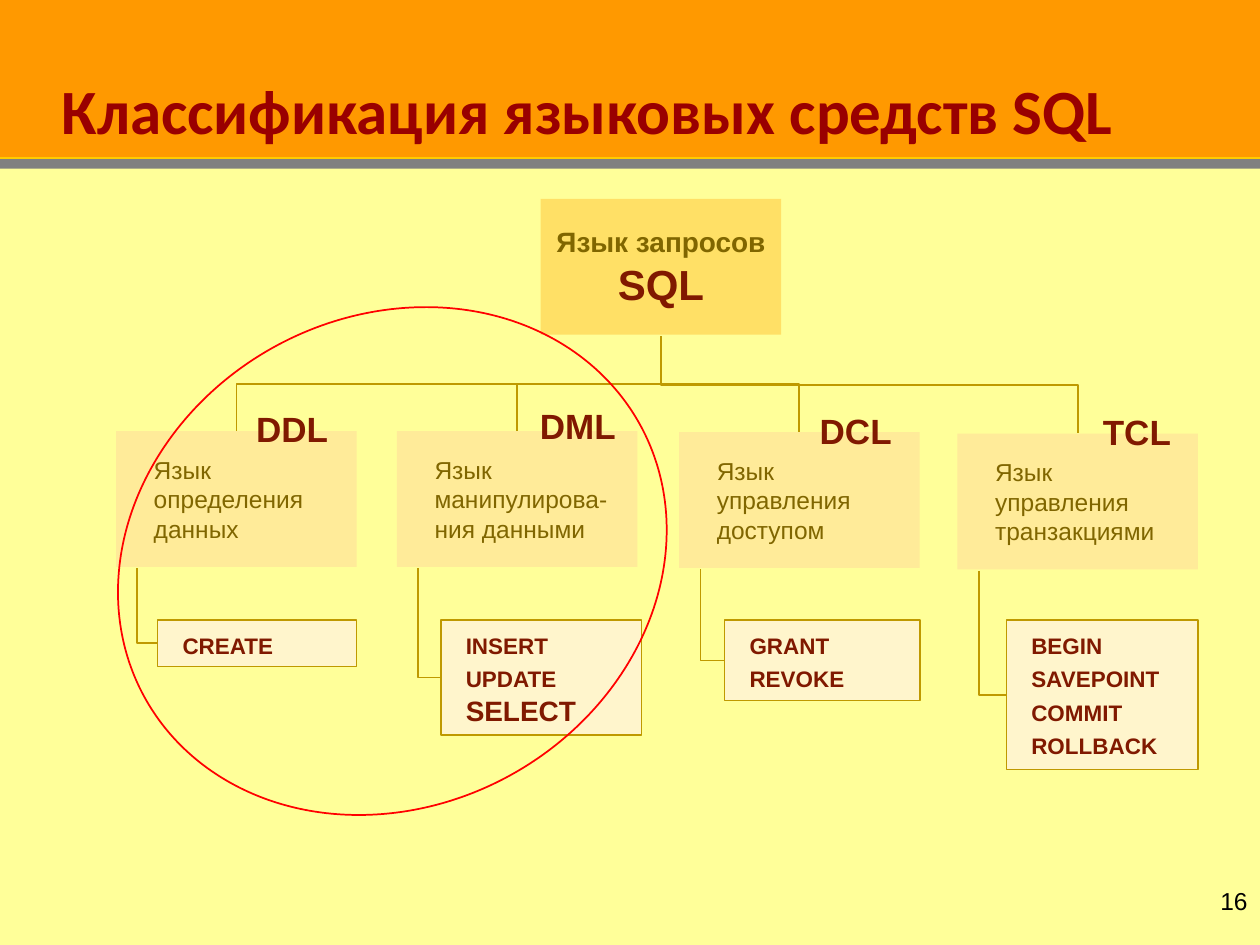
from dataclasses import dataclass

import pptx
import pptx.dml.color
import pptx.enum.shapes
import pptx.enum.text
import pptx.oxml.ns
import pptx.util

Cm = pptx.util.Cm
Pt = pptx.util.Pt
Shapes = pptx.enum.shapes.MSO_SHAPE
Anchor = pptx.enum.text.MSO_ANCHOR
Align = pptx.enum.text.PP_ALIGN
AutoSize = pptx.enum.text.MSO_AUTO_SIZE


@dataclass(frozen=True)
class Theme:
    header: str = "FF9900"
    background: str = "FFFF99"
    shadow_bar: str = "808080"
    header_edge: str = "FFCC00"
    title: str = "990000"
    root: str = "FFE066"
    branch: str = "FFEB99"
    command: str = "FFF5CC"
    line: str = "BF9900"
    highlight: str = "FF0000"
    text: str = "806600"
    strong: str = "801900"
    number: str = "000000"
    font: str = "Arial"
    title_font: str = "Calibri"
    title_size: int = 36
    root_size: int = 24
    label_size: int = 20
    command_size: int = 16
    body_size: int = 14


@dataclass(frozen=True)
class Branch:
    left: float
    top: float
    description: str
    label: str
    label_left: float
    label_top: float
    label_width: float
    command_left: float
    command_width: float
    commands: tuple


THEME = Theme()
PAGE_WIDTH, PAGE_HEIGHT = 25.4, 19.05
BOX_WIDTH, BOX_HEIGHT = 4.85, 2.74
ROOT_LEFT, ROOT_TOP = 10.9, 4.01
COMMAND_TOP, COMMAND_LINE, COMMAND_PADDING = 12.5, 0.69, 0.25

BRANCHES = (
    Branch(2.34, 8.69, "Язык определения данных", "DDL", 4.9, 8.1, 1.98,
           3.18, 4.01, ("create",)),
    Branch(8.0, 8.69, "Язык манипулирова-ния данными", "DML", 10.62, 8.03, 2.06,
           8.89, 4.04, ("insert", "update", "SELECT")),
    Branch(13.69, 8.71, "Язык \vуправления доступом", "DCL", 16.26, 8.13, 1.98,
           14.61, 3.94, ("grant", "revoke")),
    Branch(19.3, 8.74, "Язык \vуправления транзакциями", "TCL", 21.97, 8.15, 1.9,
           20.29, 3.86, ("begin", "savepoint", "commit", "rollback")),
)


def rgb(color):
    return pptx.dml.color.RGBColor.from_string(color)


def style_span(span, size, color, bold=False, font=THEME.font):
    span.font.name = font
    span.font.size = Pt(size)
    span.font.bold = bold
    span.font.color.rgb = rgb(color)


def style_text(box, size, color, bold=False, font=THEME.font,
               align=Align.LEFT, margin=0, indent=0):
    for para in box.text_frame.paragraphs:
        para.alignment = align
        properties = para._p.get_or_add_pPr()
        properties.set("marL", str(Cm(margin)))
        properties.set("indent", str(Cm(indent)))
        for span in para.runs:
            style_span(span, size, color, bold, font)


def add_box(page, left, top, width, height, fill=None, line=None,
            weight=0.75, kind=Shapes.RECTANGLE):
    box = page.shapes.add_shape(kind, Cm(left), Cm(top), Cm(width), Cm(height))
    box.shadow.inherit = False
    if fill:
        box.fill.solid()
        box.fill.fore_color.rgb = rgb(fill)
    else:
        box.fill.background()
    if line:
        box.line.color.rgb = rgb(line)
        box.line.width = Pt(weight)
    else:
        box.line.fill.background()
    return box


def add_line(page, kind, start_x, start_y, end_x, end_y, color):
    line = page.shapes.add_connector(
        kind, Cm(start_x), Cm(start_y), Cm(end_x), Cm(end_y))
    line.line.color.rgb = rgb(color)
    line.line.width = Pt(1)
    properties = line._element.spPr
    properties.append(properties.makeelement(pptx.oxml.ns.qn("a:effectLst"), {}))
    return line


def add_elbow(page, start_x, start_y, end_x, end_y, preset):
    half_x, half_y = abs(end_x - start_x) / 2, (end_y - start_y) / 2
    center_x, center_y = (start_x + end_x) / 2, (start_y + end_y) / 2
    side, degrees = (1, 270) if end_x > start_x else (-1, 90)
    line = add_line(page, pptx.enum.shapes.MSO_CONNECTOR.ELBOW,
                    center_x + side * half_y, center_y - half_x,
                    center_x - side * half_y, center_y + half_x, THEME.line)
    properties = line._element.spPr
    properties.find(pptx.oxml.ns.qn("a:xfrm")).set("rot", str(degrees * 60000))
    properties.find(pptx.oxml.ns.qn("a:prstGeom")).set("prst", preset)


def add_label(page, text, left, top, width, height, size, color, bold, align, wrap):
    box = page.shapes.add_textbox(Cm(left), Cm(top), Cm(width), Cm(height))
    box.text_frame.text = text
    box.text_frame.word_wrap = wrap
    style_text(box, size, color, bold, align=align)


def add_header(page):
    add_box(page, 0, 0, PAGE_WIDTH, 3.18, THEME.header)
    add_box(page, 0, 3.18, PAGE_WIDTH, PAGE_HEIGHT - 3.18, THEME.background)
    add_box(page, 0, 3.2, PAGE_WIDTH, 0.2, THEME.shadow_bar)
    add_line(page, pptx.enum.shapes.MSO_CONNECTOR.STRAIGHT,
             0, 3.18, PAGE_WIDTH, 3.18, THEME.header_edge)
    title = page.shapes.title
    page.shapes.element.append(title.element)
    title.left, title.top = Cm(0), Cm(0.15)
    title.width, title.height = Cm(PAGE_WIDTH), Cm(2.97)
    title.fill.solid()
    title.fill.fore_color.rgb = rgb(THEME.header)
    title.text_frame.text = "Классификация языковых средств SQL"
    title.text_frame.vertical_anchor = Anchor.BOTTOM
    title.text_frame.auto_size = AutoSize.NONE
    title.text_frame.paragraphs[0].line_spacing = 0.9
    style_text(title, THEME.title_size, THEME.title, True, THEME.title_font,
               margin=1.02, indent=-0.03)


def add_root(page):
    box = add_box(page, ROOT_LEFT, ROOT_TOP, BOX_WIDTH, BOX_HEIGHT, THEME.root)
    box.text_frame.text = "Язык запросов "
    style_text(box, THEME.command_size, THEME.text, True, align=Align.CENTER)
    span = box.text_frame.paragraphs[0].add_run()
    span.text = "SQL"
    style_span(span, THEME.root_size, THEME.strong, True)


def add_commands(page, branch):
    height = COMMAND_PADDING + COMMAND_LINE * len(branch.commands)
    box = add_box(page, branch.command_left, COMMAND_TOP, branch.command_width,
                  height, THEME.command, THEME.line)
    box.text_frame.text = "\n".join(branch.commands)
    box.text_frame.vertical_anchor = Anchor.TOP
    box.text_frame.auto_size = AutoSize.SHAPE_TO_FIT_TEXT
    style_text(box, THEME.command_size, THEME.strong, True, margin=0.25)
    for para in box.text_frame.paragraphs:
        if para.text.islower():
            para.runs[0].font._element.set("cap", "small")
    add_elbow(page, branch.left + 0.43, branch.top + BOX_HEIGHT + 0.03,
              branch.command_left, COMMAND_TOP + height / 2, "bentConnector2")


def add_branch(page, branch):
    box = add_box(page, branch.left, branch.top, BOX_WIDTH, BOX_HEIGHT, THEME.branch)
    box.text_frame.text = branch.description
    style_text(box, THEME.body_size, THEME.text, margin=0.51)
    add_label(page, branch.label, branch.label_left, branch.label_top,
              branch.label_width, 1.12, THEME.label_size, THEME.strong, True,
              Align.CENTER, False)
    add_elbow(page, ROOT_LEFT + BOX_WIDTH / 2, ROOT_TOP + BOX_HEIGHT + 0.03,
              branch.left + BOX_WIDTH / 2, branch.top, "bentConnector3")
    add_commands(page, branch)


def main():
    deck = pptx.Presentation()
    deck.slide_width, deck.slide_height = Cm(PAGE_WIDTH), Cm(PAGE_HEIGHT)
    page = deck.slides.add_slide(deck.slide_layouts.get_by_name("Title Only"))
    add_header(page)
    add_label(page, "16", 22.78, 17.73, 2.62, 1.32, THEME.body_size,
              THEME.number, False, Align.RIGHT, True)
    add_root(page)
    for branch in BRANCHES:
        add_branch(page, branch)
    highlight = add_box(page, 2.21, 6.38, 11.4, 9.86, line=THEME.highlight,
                        weight=1, kind=Shapes.OVAL)
    highlight.rotation = 331.2
    deck.save("out.pptx")


if __name__ == "__main__":
    main()
